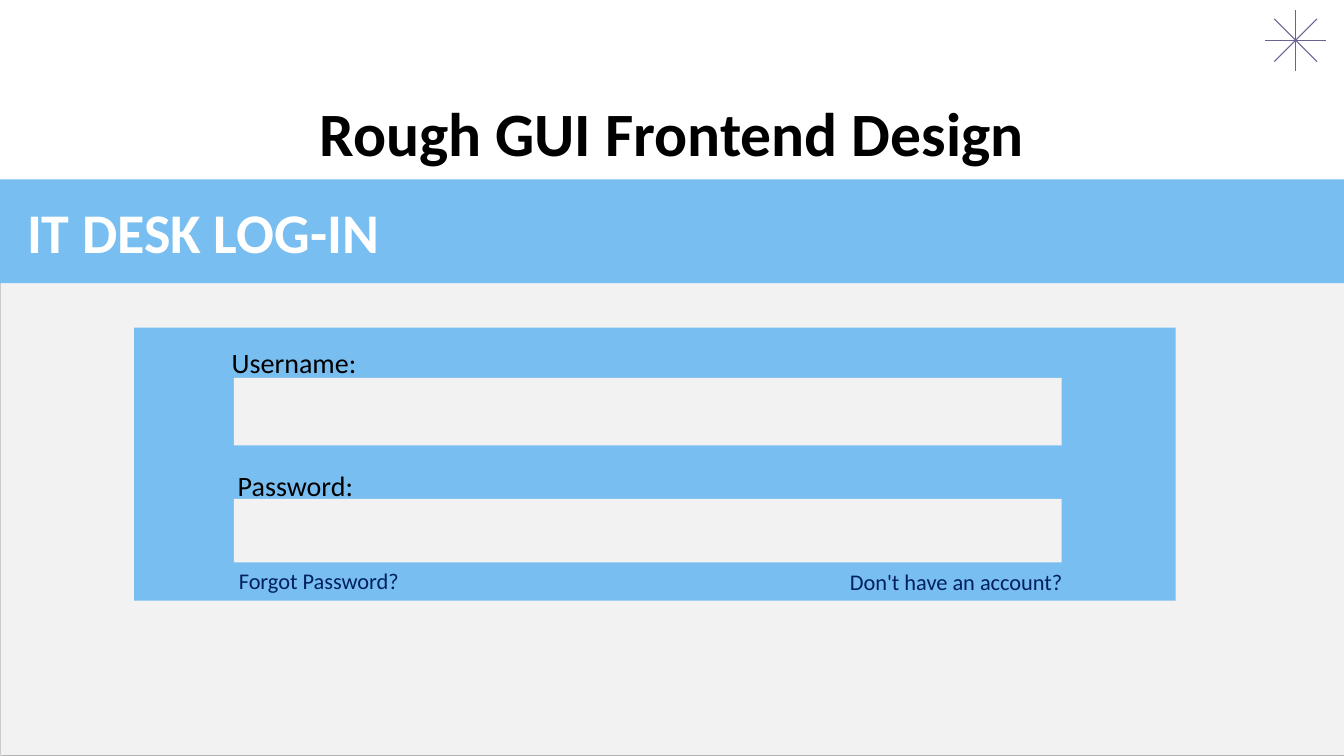
"""Build the log-in screen design slide."""
from dataclasses import dataclass
from math import cos, pi, sin

from lxml import etree
from pptx import Presentation
from pptx import util as u
from pptx.dml import color
from pptx.enum import shapes, text
from pptx.oxml import ns

HUES = {
    "black": "000000",
    "white": "FFFFFF",
    "grey": "F2F2F2",
    "sky": "78BEF0",
    "navy": "002060",
    "star": "676494",
}


@dataclass
class Panel:
    left: float
    top: float
    width: float
    height: float
    hue: str
    shade: bool = False


@dataclass
class Label:
    left: float
    top: float
    width: float
    height: float
    words: str
    size: int
    hue: str
    bold: bool = False
    mid: bool = False


PANELS = [
    Panel(0.01, 1.83, 13.35, 5.66, "grey", shade=True),
    Panel(0, 1.78, 13.35, 1.03, "sky"),
    Panel(1.33, 3.25, 10.33, 2.71, "sky"),
    Panel(2.32, 3.75, 8.21, 0.67, "grey"),
    Panel(2.32, 4.95, 8.21, 0.63, "grey"),
]

LABELS = [
    Label(1.05, 0.79, 11.23, 1.04, "Rough GUI Frontend Design", 44, "black", bold=True, mid=True),
    Label(0.17, 1.91, 4.3, 0.77, "IT DESK LOG-IN", 40, "white", bold=True),
    Label(2.2, 3.38, 3, 0.44, "Username:\u00a0".strip(), 20, "black"),
    Label(2.26, 4.6, 3, 0.44, "Password:", 20, "black"),
    Label(2.27, 5.58, 2.39, 0.37, "Forgot Password?", 16, "navy"),
    Label(8.33, 5.59, 4.42, 0.37, "Don't have an account?", 16, "navy"),
]


def tint(hue: str) -> color.RGBColor:
    return color.RGBColor.from_string(HUES[hue])


def apply(target: object, form: dict) -> None:
    for name, value in form.items():
        setattr(target, name, value)


def add_shade(props: etree.ElementBase) -> None:
    effects = props.find(ns.qn("a:effectLst"))
    outer = etree.SubElement(
        effects, ns.qn("a:outerShdw"), blurRad=str(u.Pt(3.1)), dist=str(u.Pt(1.6)),
        dir="5400000", rotWithShape="0",
    )
    hue = etree.SubElement(outer, ns.qn("a:srgbClr"), val=HUES["black"])
    etree.SubElement(hue, ns.qn("a:alpha"), val="38000")


def draw_star(slide: object, x: float, y: float, reach: float) -> None:
    for step in range(4):
        dx, dy = reach * cos(step * pi / 4), reach * sin(step * pi / 4)
        ends = [u.Inches(v) for v in (x - dx, y - dy, x + dx, y + dy)]
        ray = slide.shapes.add_connector(shapes.MSO_CONNECTOR.STRAIGHT, *ends)
        ray.line.color.rgb = tint("star")
        ray.line.width = u.Pt(0.75)
        etree.SubElement(ray._element.spPr, ns.qn("a:effectLst"))


def draw_panel(slide: object, panel: Panel) -> None:
    place = [u.Inches(v) for v in (panel.left, panel.top, panel.width, panel.height)]
    box = slide.shapes.add_shape(shapes.MSO_SHAPE.RECTANGLE, *place)
    box.fill.solid()
    box.fill.fore_color.rgb = tint(panel.hue)
    box.line.fill.background()
    box.shadow.inherit = False
    if panel.shade:
        add_shade(box._element.spPr)


def draw_label(slide: object, label: Label) -> None:
    place = [u.Inches(v) for v in (label.left, label.top, label.width, label.height)]
    frame = slide.shapes.add_textbox(*place).text_frame
    frame.word_wrap = True
    line = frame.paragraphs[0]
    if label.mid:
        inset = u.Inches(0.13)
        apply(frame, {
            "vertical_anchor": text.MSO_ANCHOR.MIDDLE,
            "margin_left": inset,
            "margin_right": inset,
            "margin_top": inset,
            "margin_bottom": inset,
        })
        line.alignment = text.PP_ALIGN.CENTER
    else:
        frame.auto_size = text.MSO_AUTO_SIZE.SHAPE_TO_FIT_TEXT
    run = line.add_run()
    run.text = label.words
    apply(run.font, {"name": "Calibri", "size": u.Pt(label.size), "bold": label.bold})
    run.font.color.rgb = tint(label.hue)


def main() -> None:
    deck = Presentation()
    apply(deck, {"slide_width": u.Inches(13.33), "slide_height": u.Inches(7.5)})
    slide = deck.slides.add_slide(deck.slide_layouts[6])
    draw_star(slide, 12.85, 0.4, 0.3)
    for panel in PANELS:
        draw_panel(slide, panel)
    for label in LABELS:
        draw_label(slide, label)
    deck.save("out.pptx")


if __name__ == "__main__":
    main()
